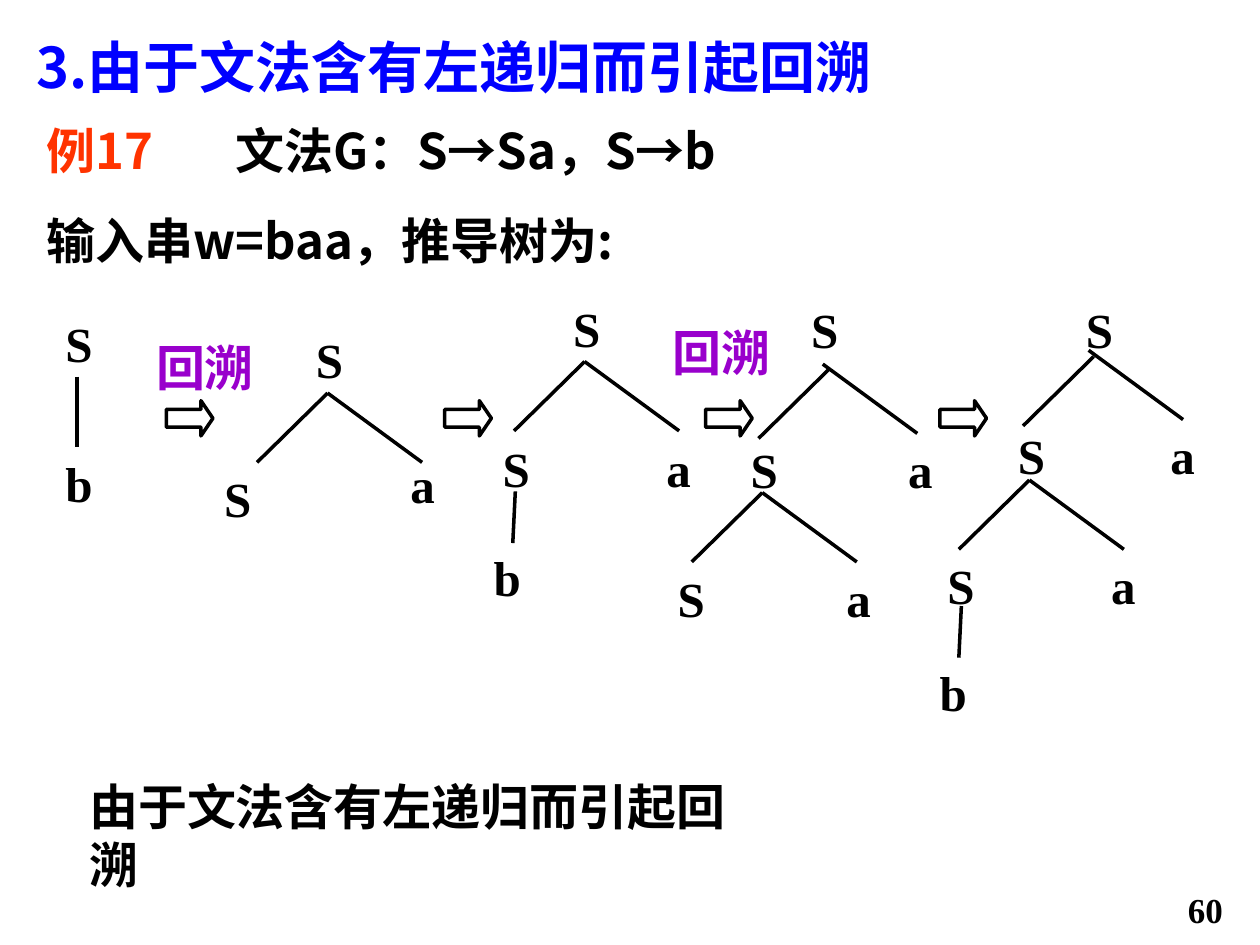
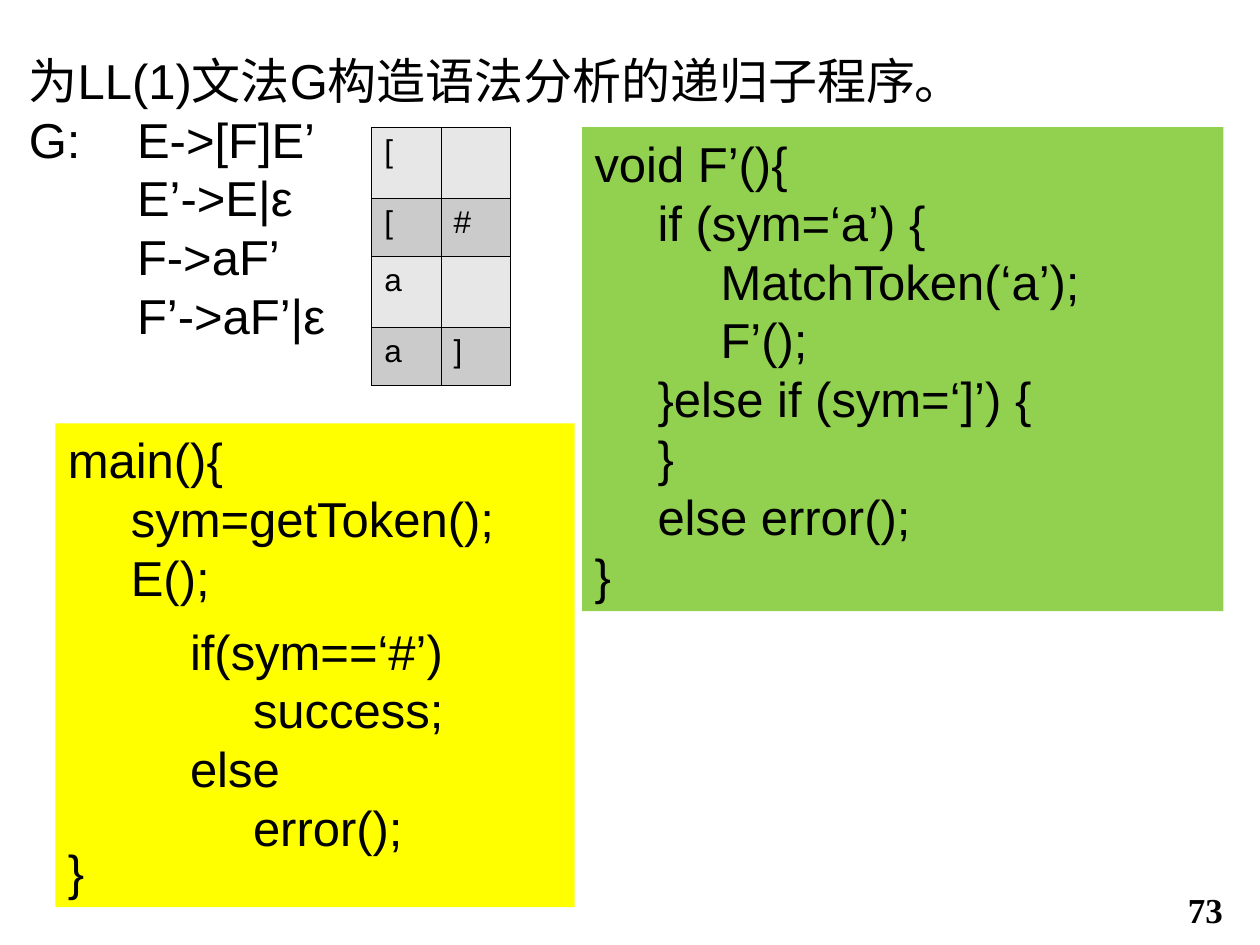
from lxml.etree import SubElement
from pptx import Presentation
from pptx.dml.color import RGBColor
from pptx.enum.shapes import MSO_CONNECTOR, MSO_SHAPE
from pptx.enum.text import MSO_ANCHOR, PP_ALIGN
from pptx.oxml.ns import qn
from pptx.util import Inches, Pt

BLACK = RGBColor(0x00, 0x00, 0x00)
BLUE = RGBColor(0x00, 0x00, 0xFF)
ORANGE = RGBColor(0xFF, 0x33, 0x00)
PURPLE = RGBColor(0x99, 0x00, 0xCC)
GREEN = RGBColor(0x92, 0xD0, 0x50)
YELLOW = RGBColor(0xFF, 0xFF, 0x00)
LIGHT_GRAY = RGBColor(0xE7, 0xE7, 0xE7)
MID_GRAY = RGBColor(0xCB, 0xCB, 0xCB)

CHINESE_FONT = "Noto Sans CJK SC"
TITLE = {"name": CHINESE_FONT, "size": Pt(32), "bold": True, "color": BLUE}
BODY = {"name": CHINESE_FONT, "size": Pt(28), "bold": True, "color": BLACK}
EXAMPLE = BODY | {"color": ORANGE}
NODE = BODY | {"name": "Times New Roman"}
BACKTRACK = NODE | {"color": PURPLE}
PAGE_NUMBER = NODE | {"size": Pt(20)}
CODE = {"name": "Arial", "size": Pt(28), "bold": False, "color": BLACK}
CELL = CODE | {"size": Pt(18)}


def write_text(frame, paragraphs):
    """Fill a frame; each paragraph is a list of (text, format) runs."""
    frame.word_wrap = True
    frame.vertical_anchor = MSO_ANCHOR.TOP
    for index, runs in enumerate(paragraphs):
        paragraph = frame.paragraphs[0] if index == 0 else frame.add_paragraph()
        paragraph.alignment = PP_ALIGN.LEFT
        for text, style in runs:
            run = paragraph.add_run()
            run.text = text
            for key, value in style.items():
                if key == "color":
                    run.font.color.rgb = value
                else:
                    setattr(run.font, key, value)
            SubElement(run.font._element, qn("a:ea"), typeface=CHINESE_FONT)


def add_text(slide, left, top, width, height, paragraphs):
    shape = slide.shapes.add_textbox(Inches(left), Inches(top), Inches(width), Inches(height))
    write_text(shape.text_frame, paragraphs)
    return shape.text_frame


presentation = Presentation()
presentation.slide_width = Inches(10)
presentation.slide_height = Inches(7.5)
blank_layout = presentation.slide_layouts[6]

# Slides with their page numbers
slides = []
for number in ("60", "73"):
    slide = presentation.slides.add_slide(blank_layout)
    add_text(slide, 9.33, 7, 0.67, 0.44, [[(number, PAGE_NUMBER)]])
    slides.append(slide)
tree_slide, code_slide = slides

# Title, grammar and conclusion
add_text(tree_slide, 0.19, 0.21, 7.07, 0.64, [[("3.由于文法含有左递归而引起回溯", TITLE)]])
grammar = add_text(tree_slide, 0.27, 0.91, 6.85, 1.28, [
    [("例17\t", EXAMPLE), ("文法G：S→Sa，S→b", BODY)],
    [("输入串w=baa，推导树为:", BODY)],
])
tabs = SubElement(grammar.paragraphs[0]._p.get_or_add_pPr(), qn("a:tabLst"))
SubElement(tabs, qn("a:tab"), pos=str(Inches(1.5)), algn="l")
grammar.paragraphs[1].space_before = Pt(17.5)
conclusion = add_text(tree_slide, 0.61, 6.11, 5.63, 0.57,
                      [[("由于文法含有左递归而引起回溯", NODE)]])
conclusion.word_wrap = False

# Tree nodes, one row per derivation tree
tree_nodes = [
    [("S", 0.42, 2.44), ("b", 0.42, 3.55)],
    [("S", 2.41, 2.57), ("S", 1.68, 3.67), ("a", 3.16, 3.56)],
    [("S", 4.45, 2.32), ("S", 3.89, 3.43), ("a", 5.19, 3.43), ("b", 3.82, 4.3)],
    [("S", 6.34, 2.33), ("S", 5.86, 3.44), ("a", 7.11, 3.44), ("S", 5.28, 4.46),
     ("a", 6.62, 4.46)],
    [("S", 8.52, 2.33), ("S", 7.98, 3.33), ("a", 9.19, 3.33), ("S", 7.42, 4.36),
     ("a", 8.72, 4.36), ("b", 7.36, 5.21)],
]
for nodes in tree_nodes:
    for symbol, left, top in nodes:
        add_text(tree_slide, left, top, 0.56, 0.83, [[(symbol, NODE)]])

# Tree edges: start points grouped by the run and drop of the edge
edge_groups = {
    (-0.56, 0.55): [(2.6, 3.12), (4.64, 2.87), (6.58, 2.93), (6.05, 3.91),
                    (8.68, 2.83), (8.17, 3.81)],
    (0.75, 0.55): [(2.6, 3.12), (4.64, 2.87), (6.53, 2.89), (6.05, 3.91),
                   (8.64, 2.78), (8.17, 3.81)],
    (0, 0.56): [(0.61, 2.99)],
    (-0.02, 0.41): [(4.09, 3.9), (7.63, 4.81)],
}
for (run_x, drop), starts in edge_groups.items():
    for x, y in starts:
        edge = tree_slide.shapes.add_connector(
            MSO_CONNECTOR.STRAIGHT, Inches(x), Inches(y), Inches(x + run_x), Inches(y + drop))
        edge.line.color.rgb = BLACK
        edge.line.width = Pt(2)
        SubElement(edge._element.spPr, qn("a:effectLst"))

# Step arrows and backtracking labels
for left in (1.32, 3.53, 5.6, 7.46):
    arrow = tree_slide.shapes.add_shape(
        MSO_SHAPE.RIGHT_ARROW, Inches(left), Inches(3.18), Inches(0.37), Inches(0.28))
    arrow.adjustments[1] = 0.34
    arrow.shadow.inherit = False
    arrow.fill.background()
    arrow.line.color.rgb = BLACK
    arrow.line.width = Pt(2)
for left, top in ((1.14, 2.63), (5.24, 2.51)):
    add_text(tree_slide, left, top, 1.3, 0.83, [[("回溯", BACKTRACK)]])

# Grammar productions, aligned on a hanging indent
productions = add_text(code_slide, 0.13, 0.35, 7.99, 2.9, [
    [(line, CODE)] for line in (
        "为LL(1)文法G构造语法分析的递归子程序。",
        "G:\tE->[F]E’", "E’->E|ε", "F->aF’", "F’->aF’|ε")
])
for index, paragraph in enumerate(productions.paragraphs[1:]):
    properties = paragraph._p.get_or_add_pPr()
    properties.set("marL", str(Inches(0.86)))
    properties.set("indent", str(Inches(-0.86) if index == 0 else 0))

# Code panels
panels = [
    (4.62, 1.01, 5.09, GREEN, [
        "void F’(){", "\tif (sym=‘a’) {", "\t\tMatchToken(‘a’);", "\t\tF’();",
        "\t}else if (sym=‘]’) {", "\t}", "\telse error();", "}"]),
    (0.44, 3.36, 4.12, YELLOW, ["main(){", "\tsym=getToken();", "\tE();", "}"]),
]
for left, top, width, color, lines in panels:
    panel = code_slide.shapes.add_shape(
        MSO_SHAPE.RECTANGLE, Inches(left), Inches(top), Inches(width), Inches(3.84))
    panel.shadow.inherit = False
    panel.fill.solid()
    panel.fill.fore_color.rgb = color
    panel.line.fill.background()
    write_text(panel.text_frame, [[(line, CODE)] for line in lines])
# The closing brace of main() sits below the acceptance test
panel.text_frame.paragraphs[-1].space_before = Pt(134.5)
add_text(code_slide, 1.41, 4.88, 2.71, 2.44, [
    [(line, CODE)] for line in ("if(sym==‘#’)", "\tsuccess;", "else", "\terror();")])

# Selection set table
selection_sets = [("[", ""), ("[", "#"), ("a", ""), ("a", "]")]
table = code_slide.shapes.add_table(
    4, 2, Inches(2.95), Inches(1.01), Inches(1.1), Inches(2.05)).table
for column in table.columns:
    column.width = Inches(0.55)
for row_index, symbols in enumerate(selection_sets):
    table.rows[row_index].height = Inches(0.46 if row_index % 2 else 0.565)
    for column_index, symbol in enumerate(symbols):
        cell = table.cell(row_index, column_index)
        if symbol:
            write_text(cell.text_frame, [[(symbol, CELL)]])
        properties = cell._tc.get_or_add_tcPr()
        for side in ("a:lnL", "a:lnR", "a:lnT", "a:lnB"):
            border = SubElement(properties, qn(side), w=str(Pt(0.45)))
            border_fill = SubElement(border, qn("a:solidFill"))
            SubElement(border_fill, qn("a:srgbClr"), val=str(BLACK))
        cell.fill.solid()
        cell.fill.fore_color.rgb = MID_GRAY if row_index % 2 else LIGHT_GRAY

presentation.save("out.pptx")
